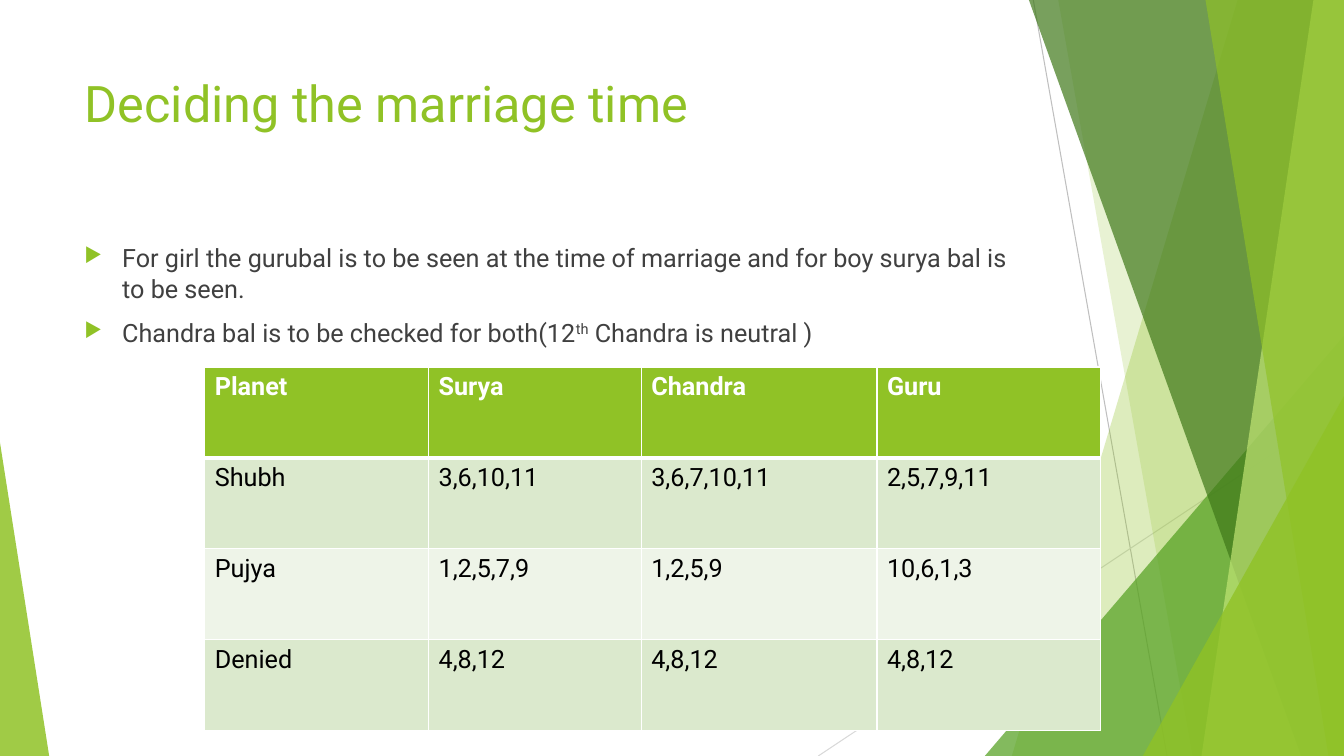
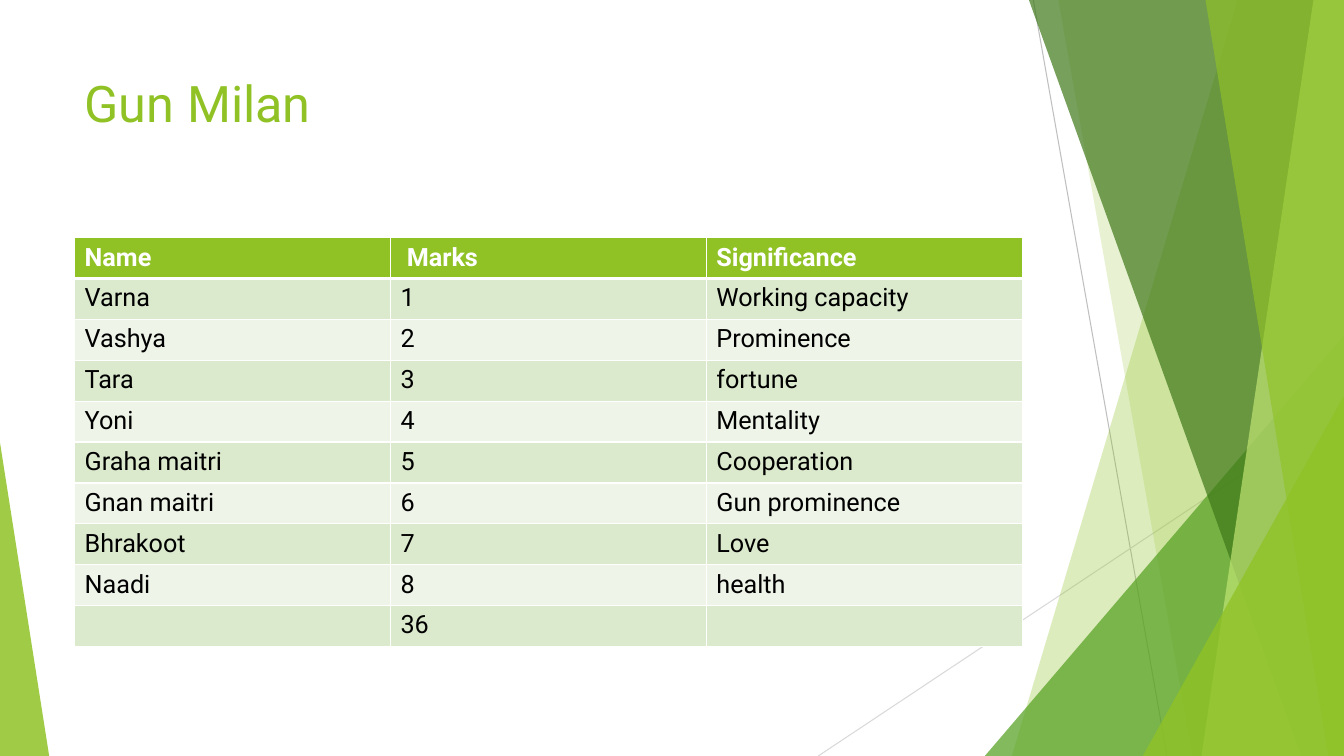
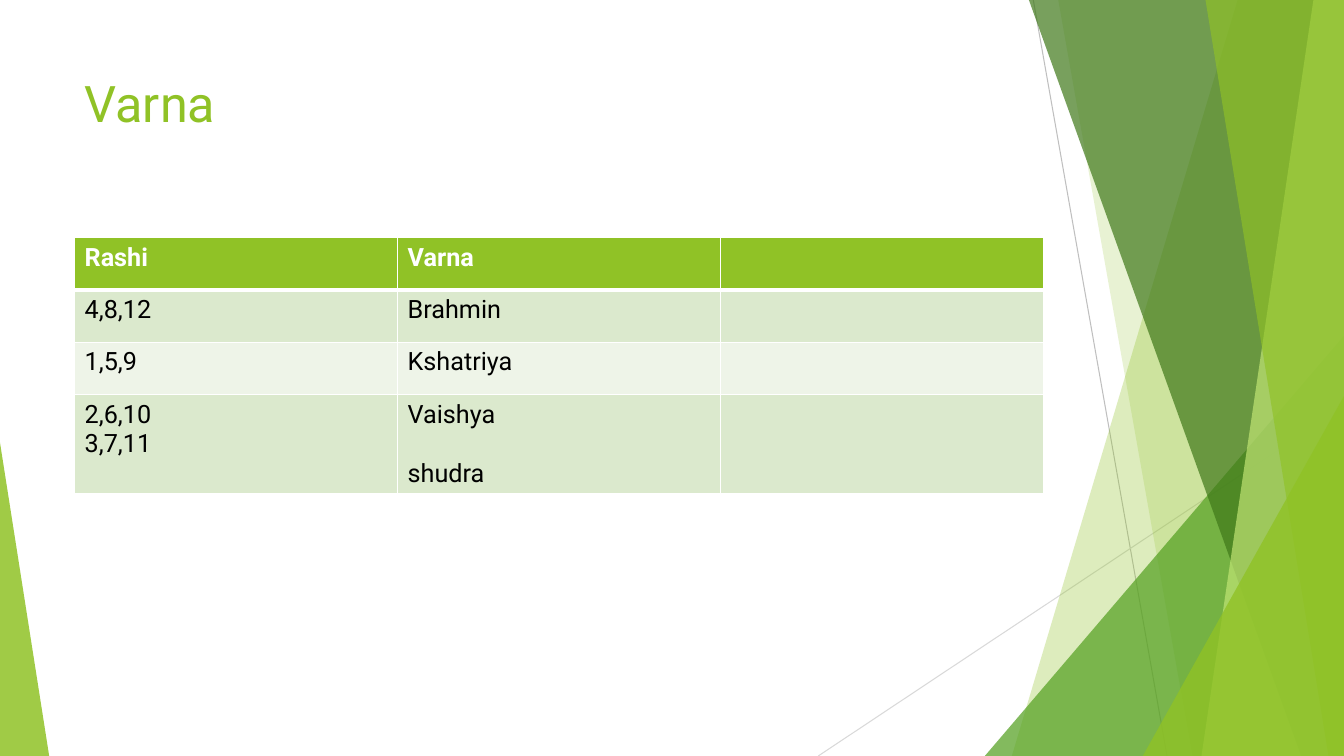
from dataclasses import dataclass

from lxml.etree import SubElement
from pptx import Presentation
from pptx.dml.color import RGBColor
from pptx.enum.shapes import MSO_CONNECTOR, MSO_SHAPE
from pptx.enum.text import MSO_ANCHOR, MSO_AUTO_SIZE, PP_ALIGN
from pptx.oxml.ns import qn
from pptx.util import Cm, Pt


@dataclass(frozen=True)
class Theme:
    font: str = "Roboto"
    title_size: int = 36
    text_size: int = 18
    lime: str = "90C226"
    pale_lime: str = "C0E474"
    green: str = "54A021"
    forest: str = "3F7819"
    text: str = "404040"
    cell_text: str = "000000"
    white: str = "FFFFFF"
    bands: tuple = ("DBE9CD", "EEF4E8")
    line_dark: str = "BFBFBF"
    line_light: str = "D9D9D9"


THEME = Theme()
WIDTH, HEIGHT = 33.87, 19.05
LEFT, CONTENT_TOP, CONTENT_WIDTH = 1.88, 5.99, 23.88

RAYS = [
    (26.04, 0, 29.41, HEIGHT, THEME.line_dark),
    (WIDTH, 10.24, 20.62, HEIGHT, THEME.line_light),
]
FACETS = [
    ("shard", (31.19, 25.5), THEME.lime, 30),
    ("shard", (26.67, 30.05), THEME.lime, 20),
    ("corner", (24.82, 8.46, WIDTH, 1), THEME.green, 72),
    ("shard", (25.93, 32.79), THEME.forest, 70),
    ("shard", (33.1, 30.28), THEME.pale_lime, 70),
    ("shard", (30.38, 33.48), THEME.lime, 65),
    ("corner", (28.8, 9.98, WIDTH, 1), THEME.lime, 80),
    ("corner", (0, 11.15, 1.24, 0), THEME.lime, 85),
]

SLIDES = [
    {
        "title": "Deciding the marriage time",
        "bullets": [
            [("For girl the gurubal is to be seen at the time of marriage "
              "and for boy surya bal is to be seen.", 0)],
            [("Chandra bal is to be checked for both(12", 0), ("th", 30),
             (" Chandra is neutral )", 0)],
        ],
        "at": (5.16, 9.25),
        "columns": [5.64, 5.36, 5.94, 5.64],
        "heights": [2.29] * 4,
        "rows": [
            ("Planet", "Surya", "Chandra", "Guru"),
            ("Shubh", "3,6,10,11", "3,6,7,10,11", "2,5,7,9,11"),
            ("Pujya", "1,2,5,7,9", "1,2,5,9", "10,6,1,3"),
            ("Denied", "4,8,12", "4,8,12", "4,8,12"),
        ],
    },
    {
        "title": "Gun Milan",
        "at": (LEFT, CONTENT_TOP),
        "columns": [7.96] * 3,
        "heights": [1.03] * 10,
        "rows": [
            ("Name", " Marks", "Significance"),
            ("Varna", "1", "Working capacity"),
            ("Vashya", "2", "Prominence"),
            ("Tara", "3", "fortune"),
            ("Yoni", "4", "Mentality"),
            ("Graha maitri", "5", "Cooperation"),
            ("Gnan maitri", "6", "Gun prominence"),
            ("Bhrakoot", "7", "Love"),
            ("Naadi", "8", "health"),
            ("", "36", ""),
        ],
    },
    {
        "title": "Varna",
        "at": (LEFT, CONTENT_TOP),
        "columns": [8.14] * 3,
        "heights": [1.32, 1.32, 1.32, 2.48],
        "rows": [
            ("Rashi", "Varna", ""),
            ("4,8,12", "Brahmin", ""),
            ("1,5,9", "Kshatriya", ""),
            ("2,6,10\n3,7,11", "Vaishya\nshudra", ""),
        ],
        "gap_before": {"shudra": 21},
    },
]


def color(value):
    return RGBColor.from_string(value)


def style(para, size, tint, bold=False):
    para.font.name = THEME.font
    para.font.size = Pt(size)
    para.font.bold = bold
    para.font.color.rgb = color(tint)


def add_ray(shapes, x1, y1, x2, y2, tint):
    ray = shapes.add_connector(MSO_CONNECTOR.STRAIGHT, Cm(x1), Cm(y1), Cm(x2), Cm(y2))
    ray.line.color.rgb = color(tint)
    ray.line.width = Pt(0.75)
    SubElement(ray.element.spPr, qn("a:effectLst"))


def add_shard(shapes, top_x, bottom_x):
    builder = shapes.build_freeform(Cm(top_x), 0)
    builder.add_line_segments(
        [(Cm(x), Cm(y)) for x, y in ((WIDTH, 0), (WIDTH, HEIGHT), (bottom_x, HEIGHT))])
    return builder.convert_to_shape()


def add_corner(shapes, left, top, right, apex):
    corner = shapes.add_shape(MSO_SHAPE.ISOSCELES_TRIANGLE, Cm(left), Cm(top),
                              Cm(right - left), Cm(HEIGHT - top))
    corner.adjustments[0] = apex
    return corner


def add_backdrop(deck, page):
    group = page.shapes.add_group_shape()
    for ray in RAYS:
        add_ray(group.shapes, *ray)
    makers = {"shard": add_shard, "corner": add_corner}
    for kind, place, tint, opacity in FACETS:
        facet = makers[kind](group.shapes, *place)
        facet.shadow.inherit = False
        facet.line.fill.background()
        facet.fill.solid()
        facet.fill.fore_color.rgb = color(tint)
        fill = facet.element.spPr.find(qn("a:solidFill")).find(qn("a:srgbClr"))
        SubElement(fill, qn("a:alpha"), val=str(opacity * 1000))
    for number, properties in enumerate(group.element.iter(qn("p:cNvPr")), 100):
        properties.set("id", str(number))
    deck.slide_master.shapes.element.insert(2, group.element)


def add_title(page, text):
    title = page.shapes.title
    title.left, title.top = Cm(LEFT), Cm(1.7)
    title.width, title.height = Cm(CONTENT_WIDTH), Cm(3.66)
    frame = title.text_frame
    frame.text = text
    frame.auto_size = MSO_AUTO_SIZE.NONE
    frame.vertical_anchor = MSO_ANCHOR.TOP
    frame.paragraphs[0].alignment = PP_ALIGN.LEFT
    style(frame.paragraphs[0], THEME.title_size, THEME.lime)


def add_bullet_mark(para):
    properties = para._p.get_or_add_pPr()
    properties.set("marL", str(Cm(0.95)))
    properties.set("indent", str(-Cm(0.95)))
    tint = SubElement(properties, qn("a:buClr"))
    SubElement(tint, qn("a:srgbClr"), val=THEME.lime)
    SubElement(properties, qn("a:buSzPct"), val="80000")
    SubElement(properties, qn("a:buChar"), char="▶")


def add_bullets(page, bullets):
    box = page.shapes.add_textbox(Cm(LEFT), Cm(CONTENT_TOP), Cm(CONTENT_WIDTH), Cm(10.77))
    frame = box.text_frame
    frame.word_wrap = True
    for index, spans in enumerate(bullets):
        para = frame.add_paragraph() if index else frame.paragraphs[0]
        para.space_before = Pt(10)
        add_bullet_mark(para)
        style(para, THEME.text_size, THEME.text)
        for text, raised in spans:
            span = para.add_run()
            span.text = text
            if raised:
                span._r.get_or_add_rPr().set("baseline", str(raised * 1000))


def add_borders(cell, row):
    widths = {"L": 1, "R": 1, "T": 3 if row == 1 else 1, "B": 3 if row == 0 else 1}
    for side, width in widths.items():
        line = SubElement(cell._tc.get_or_add_tcPr(), qn(f"a:ln{side}"), w=str(Pt(width)))
        SubElement(SubElement(line, qn("a:solidFill")), qn("a:srgbClr"), val=THEME.white)


def fill_cell(cell, row, text, gaps):
    header = row == 0
    add_borders(cell, row)
    cell.fill.solid()
    cell.fill.fore_color.rgb = color(THEME.lime if header else THEME.bands[(row - 1) % 2])
    cell.text = text
    for para in cell.text_frame.paragraphs:
        if para.text in gaps:
            para.space_before = Pt(gaps[para.text])
        style(para, THEME.text_size, THEME.white if header else THEME.cell_text, header)


def add_grid(page, content):
    rows, columns, heights = content["rows"], content["columns"], content["heights"]
    left, top = content["at"]
    table = page.shapes.add_table(len(rows), len(columns), Cm(left), Cm(top),
                                  Cm(sum(columns)), Cm(sum(heights))).table
    table.horz_banding = False
    for column, width in zip(table.columns, columns):
        column.width = Cm(width)
    for row, height in zip(table.rows, heights):
        row.height = Cm(height)
    for row, texts in enumerate(rows):
        for column, text in enumerate(texts):
            fill_cell(table.cell(row, column), row, text, content.get("gap_before", {}))


def main():
    deck = Presentation()
    deck.slide_width, deck.slide_height = Cm(WIDTH), Cm(HEIGHT)
    for index, content in enumerate(SLIDES):
        page = deck.slides.add_slide(deck.slide_layouts[5])
        if index == 0:
            add_backdrop(deck, page)
        add_title(page, content["title"])
        if "bullets" in content:
            add_bullets(page, content["bullets"])
        add_grid(page, content)
    deck.save("out.pptx")


if __name__ == "__main__":
    main()
